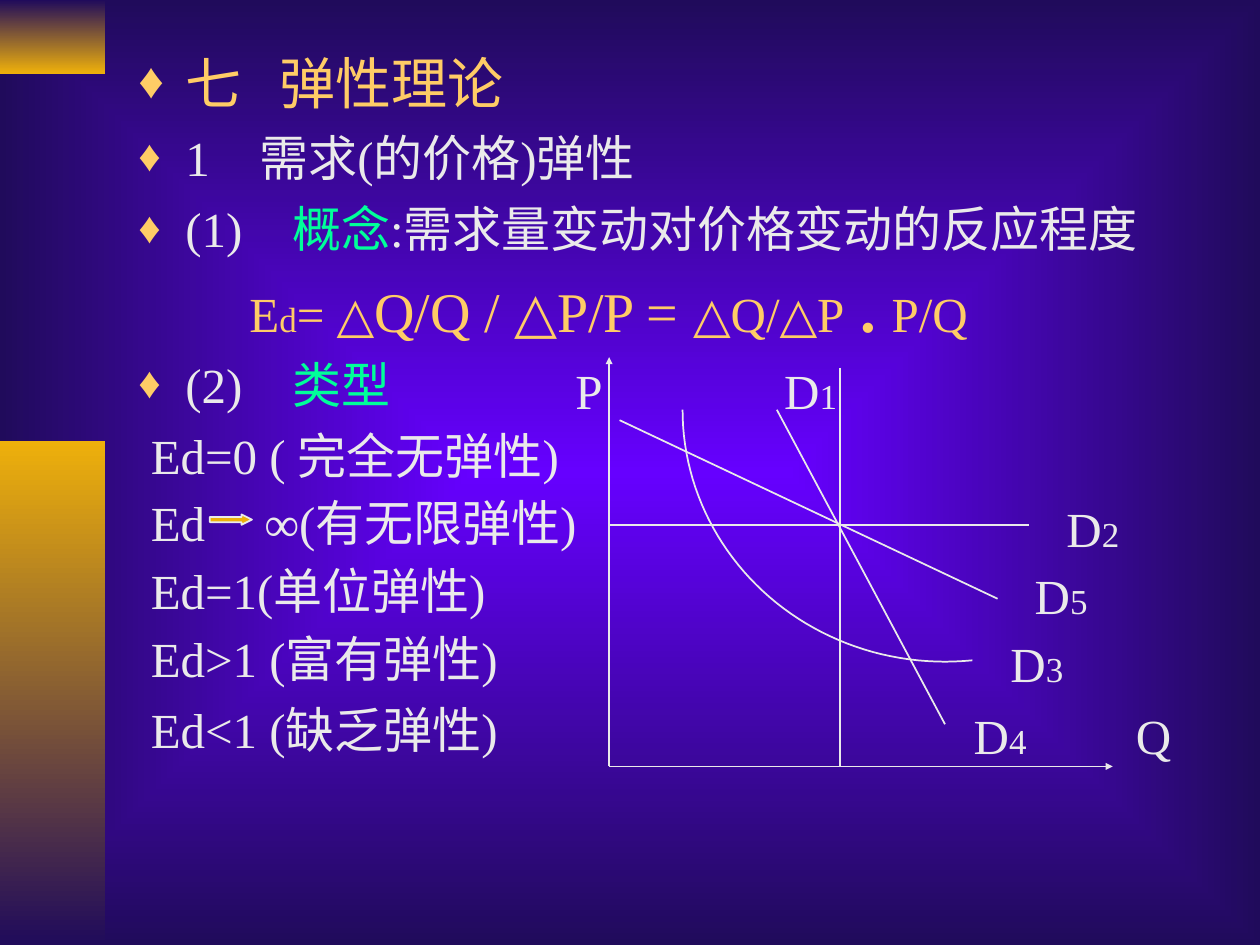
from dataclasses import dataclass
from math import cos, radians, sin

from lxml.etree import SubElement
from pptx import Presentation
from pptx.dml.color import RGBColor
from pptx.enum.shapes import MSO_CONNECTOR, MSO_SHAPE
from pptx.oxml.ns import qn
from pptx.util import Cm, Pt

FONT = "Times New Roman"
SAND = RGBColor(0xFF, 0xCC, 0x66)
PALE = RGBColor(0xEA, 0xEA, 0xEA)
MINT = RGBColor(0x00, 0xFF, 0x99)
GOLD = RGBColor(0xEE, 0xB0, 0x0B)
NAVY = RGBColor(0x20, 0x0B, 0x5B)
VIOLET = RGBColor(0x66, 0x00, 0xFF)

HANG = 0.95
LEFT, FLOOR = 12.28, 15.45


@dataclass
class Bit:
    text: str
    size: int = 28
    color: RGBColor = PALE
    bold: bool = False


@dataclass
class Para:
    bits: list[Bit]
    gap: int = 7
    indent: float = 0.25
    tabs: tuple[float, ...] = ()


@dataclass
class Label:
    text: str
    x: float
    y: float
    sub: str = ""


@dataclass
class Line:
    x1: float
    y1: float
    x2: float
    y2: float
    arrow: bool = False


def topic(bits: list[Bit], tab: float, gap: int = 7) -> Para:
    """A bulleted paragraph with its number and its words at tab stops."""
    return Para(bits, gap, 0, (HANG, tab))


PARAS = [
    topic([Bit("\t七\t弹性理论", 32, SAND)], 2.84, 8),
    topic([Bit("\t1\t需求(的价格)弹性")], 2.44),
    topic([Bit("\t(1)\t"), Bit("概念", color=MINT),
           Bit(":需求量变动对价格变动的反应程度")], 3.1),
    Para([Bit("E", color=SAND), Bit("d", 20, SAND), Bit("= △", color=SAND),
          Bit("Q/Q / △P/P = ", 32, SAND), Bit("△Q/△P", color=SAND),
          Bit(" . ", 36, SAND, True), Bit("P/Q", color=SAND)], indent=2.24),
    topic([Bit("\t(2)\t"), Bit("类型", color=MINT)], 3.1, 5),
    Para([Bit("Ed=0 ( 完全无弹性)")]),
    Para([Bit("Ed\t∞(有无限弹性)")], 5),
    Para([Bit("Ed=1(单位弹性)")], 5),
    Para([Bit("Ed>1 (富有弹性)")], 5),
    Para([Bit("Ed<1 (缺乏弹性)")]),
]

LABELS = [
    Label("P", 11.6, 7.26),
    Label("D", 15.81, 7.26, "1"),
    Label("D", 21.5, 10.04, "2"),
    Label("D", 20.86, 11.41, "5"),
    Label("D", 20.37, 12.78, "3"),
    Label("D", 19.63, 14.22, "4"),
    Label("Q", 22.9, 14.22),
]

LINES = [
    Line(LEFT, FLOOR, LEFT, 7.2, True),
    Line(LEFT, FLOOR, 22.43, FLOOR, True),
    Line(LEFT, 10.58, 20.74, 10.58),
    Line(16.93, 7.41, 16.93, FLOOR),
    Line(12.49, 8.47, 20.11, 12.07),
    Line(15.66, 8.26, 19.05, 14.6),
]


def blend(fill, first: RGBColor, last: RGBColor) -> None:
    fill.gradient()
    for stop, color in zip(fill.gradient_stops, (first, last)):
        stop.color.rgb = color


def paint_back(slide) -> None:
    """Give the slide a gradient that spreads from its centre."""
    blend(slide.background.fill, VIOLET, NAVY)
    grad = slide.element.find(".//" + qn("a:gradFill"))
    grad.remove(grad.find(qn("a:lin")))
    path = SubElement(grad, qn("a:path"), path="rect")
    SubElement(path, qn("a:fillToRect"), l="50000", t="50000", r="50000", b="50000")


def add_band(slide, top: float, high: float, first: RGBColor, last: RGBColor) -> None:
    band = slide.shapes.add_shape(MSO_SHAPE.RECTANGLE, 0, Cm(top), Cm(2.12), Cm(high))
    band.shadow.inherit = False
    blend(band.fill, first, last)
    band.fill.gradient_angle = 270
    band.line.fill.background()


def add_bits(item, bits: list[Bit]) -> None:
    for bit in bits:
        run = item.add_run()
        run.text = bit.text
        run.font.name = FONT
        run.font.size = Pt(bit.size)
        run.font.bold = bit.bold
        run.font.color.rgb = bit.color


def add_para(item, para: Para) -> None:
    item.space_before = Pt(para.gap)
    props = item._p.get_or_add_pPr()
    props.set("marL", "0")
    props.set("indent", str(Cm(para.indent)))
    if para.tabs:
        tint = SubElement(props, qn("a:buClr"))
        SubElement(tint, qn("a:srgbClr"), val=str(SAND))
        SubElement(props, qn("a:buSzPct"), val="90000")
        SubElement(props, qn("a:buFont"), typeface=FONT)
        SubElement(props, qn("a:buChar"), char="♦")
        stops = SubElement(props, qn("a:tabLst"))
        for tab in para.tabs:
            SubElement(stops, qn("a:tab"), pos=str(Cm(tab)), algn="l")
    else:
        SubElement(props, qn("a:buNone"))
    add_bits(item, para.bits)


def add_body(slide) -> None:
    box = slide.shapes.add_textbox(Cm(2.54), Cm(0.85), Cm(22.44), Cm(18.2))
    frame = box.text_frame
    frame.word_wrap = True
    for i, para in enumerate(PARAS):
        add_para(frame.add_paragraph() if i else frame.paragraphs[0], para)


def add_label(slide, label: Label) -> None:
    box = slide.shapes.add_textbox(Cm(label.x), Cm(label.y), Cm(1.3), Cm(1.15))
    frame = box.text_frame
    frame.margin_left = frame.margin_right = 0
    frame.margin_top = frame.margin_bottom = 0
    bits = [Bit(label.text)]
    if label.sub:
        bits.append(Bit(label.sub, 20))
    add_bits(frame.paragraphs[0], bits)
    frame.word_wrap = True


def add_arrow(slide) -> None:
    arrow = slide.shapes.add_shape(
        MSO_SHAPE.RIGHT_ARROW, Cm(4.23), Cm(10.37), Cm(0.85), Cm(0.21))
    arrow.adjustments[1] = 1
    arrow.shadow.inherit = False
    arrow.fill.solid()
    arrow.fill.fore_color.rgb = GOLD
    arrow.line.color.rgb = PALE
    arrow.line.width = Pt(1)


def add_line(slide, line: Line) -> None:
    link = slide.shapes.add_connector(
        MSO_CONNECTOR.STRAIGHT, Cm(line.x1), Cm(line.y1), Cm(line.x2), Cm(line.y2))
    link.line.color.rgb = PALE
    link.line.width = Pt(1)
    props = link.element.spPr
    if line.arrow:
        SubElement(props.find(qn("a:ln")), qn("a:tailEnd"),
                   type="triangle", w="sm", len="sm")
    SubElement(props, qn("a:effectLst"))


def add_curve(slide) -> None:
    """Draw demand curve D3 as part of an ellipse."""
    points = [(Cm(19.05 + 5.29 * cos(radians(deg))), Cm(8.26 + 5.08 * sin(radians(deg))))
              for deg in range(180, 82, -2)]
    pen = slide.shapes.build_freeform(*points[0])
    pen.add_line_segments(points[1:], close=False)
    curve = pen.convert_to_shape()
    curve.shadow.inherit = False
    curve.fill.background()
    curve.line.color.rgb = PALE
    curve.line.width = Pt(1)


def main() -> None:
    deck = Presentation()
    deck.slide_width, deck.slide_height = Cm(25.4), Cm(19.05)
    slide = deck.slides.add_slide(deck.slide_layouts[6])
    paint_back(slide)
    add_band(slide, 0, 1.48, NAVY, GOLD)
    add_band(slide, 8.89, 10.16, GOLD, NAVY)
    add_body(slide)
    add_arrow(slide)
    for line in LINES:
        add_line(slide, line)
    add_curve(slide)
    for label in LABELS:
        add_label(slide, label)
    deck.save("out.pptx")


if __name__ == "__main__":
    main()
